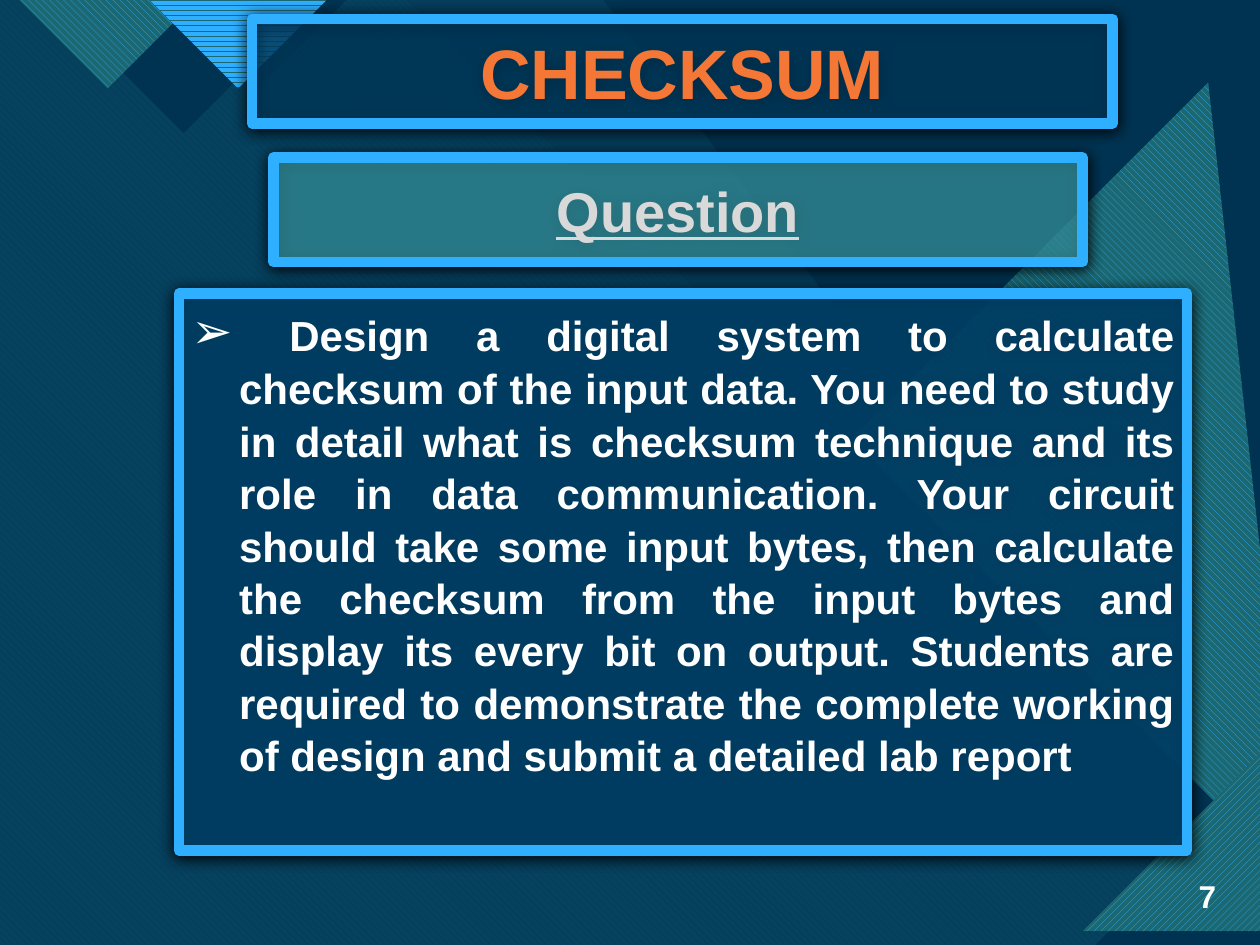
"""Build the checksum question slide with its layered triangle background."""
from math import cos, radians, sin

from lxml.etree import SubElement
from pptx import Presentation
from pptx.dml.color import RGBColor
from pptx.enum.dml import MSO_PATTERN as Pattern
from pptx.enum.shapes import MSO_SHAPE as Shape
from pptx.enum.text import MSO_ANCHOR as Anchor, PP_ALIGN as Align
from pptx.oxml.ns import qn
from pptx.util import Inches, Pt

COLORS = {
    "base": "0C4360", "navy": "003352", "aqua": "47C3D3", "teal": "1B6872",
    "sky": "2FAFFF", "blue": "0065A4", "panel": "004C7B", "orange": "F47735",
    "gray": "D9D9D9", "white": "FFFFFF", "black": "000000",
}
DOWN, UP, HORIZONTAL = Pattern.WIDE_DOWNWARD_DIAGONAL, Pattern.WIDE_UPWARD_DIAGONAL, Pattern.DARK_HORIZONTAL


def paint(shape, color, opacity=100, pattern=None, back=None):
    shape.shadow.inherit = False
    if pattern:
        shape.fill.patterned()
        shape.fill.pattern = pattern
        shape.fill.fore_color.rgb = RGBColor.from_string(COLORS[color])
        shape.fill.back_color.rgb = RGBColor.from_string(COLORS[back])
    else:
        shape.fill.solid()
        shape.fill.fore_color.rgb = RGBColor.from_string(COLORS[color])
        if opacity < 100:
            rgb = shape.fill._xPr.find(".//" + qn("a:srgbClr"))
            SubElement(rgb, qn("a:alpha"), val=str(opacity * 1000))
    shape.line.fill.background()


def add_polygon(points, angle, *style):
    c, s = cos(radians(angle)), sin(radians(angle))
    flat = [(x * c + y * s, y * c - x * s) for x, y in points]
    xs, ys = zip(*flat)
    middle_x, middle_y = (min(xs) + max(xs)) / 2, (min(ys) + max(ys)) / 2
    center_x, center_y = middle_x * c - middle_y * s, middle_x * s + middle_y * c
    builder = slide.shapes.build_freeform(*flat[0], scale=Inches(1))
    builder.add_line_segments(flat[1:], close=True)
    shape = builder.convert_to_shape()
    shape.left = Inches(center_x) - shape.width // 2
    shape.top = Inches(center_y) - shape.height // 2
    shape.rotation = angle
    paint(shape, *style)


presentation = Presentation()
presentation.slide_width, presentation.slide_height = Inches(10), Inches(7.5)
slide = presentation.slides.add_slide(presentation.slide_layouts[6])

backdrop = slide.shapes.add_shape(Shape.RECTANGLE, 0, 0, Inches(10), Inches(7.5))
paint(backdrop, "base")
add_polygon([(0, 0), (6.2, 0), (8.42, 2.97), (9.26, 2.97), (10, 3.96), (10, 7.5), (0, 7.5)],
            0, "aqua", 74)
add_polygon([(0, 0), (3.36, 0), (5.6, 2.97), (6.54, 2.97), (9.94, 7.5), (0, 7.5)],
            270, "blue", 100, DOWN, "aqua")
corner = slide.shapes.add_shape(Shape.RIGHT_TRIANGLE, Inches(4.79), 0, Inches(5.21), Inches(6.92))
corner.rotation = 180
paint(corner, "navy")
add_polygon([(0, 0), (5.21, 0), (7.44, 2.97), (8.39, 2.97), (10, 5.13), (10, 7.5), (0, 7.5)],
            270, "navy", 90)

triangles = [
    ([(9.57, 1.19), (10.42, 7.16), (9.21, 6.98), (6.5, 4.27)], 45, None),
    ([(9.54, 0.49), (10.48, 7.05), (10.17, 7.01), (6.6, 3.44)], 135, DOWN),
    ([(9.91, 6.31), (10.08, 7.5), (8.89, 7.33)], 45, None),
    ([(9.88, 5.89), (10.11, 7.5), (8.51, 7.27)], 135, UP),
    ([(2.14, 0.14), (1.25, 1.03), (0.07, -0.15)], 315, None),
    ([(-0.17, -0.15), (1, 1.02), (1.88, 0.14)], 45, DOWN),
    ([(2.59, 0.07), (2.12, 0.55), (1.49, -0.08)], 315, None),
    ([(1.35, -0.08), (1.97, 0.53), (2.43, 0.07)], 45, HORIZONTAL),
]
for points, angle, pattern in triangles:
    add_polygon(points, angle, "sky" if pattern else "navy", 100, pattern, "teal")

question = (
    "Design a digital system to calculate checksum of the input data. "
    "You need to study in detail what is checksum technique and its role in data communication. "
    "Your circuit should take some input bytes, then calculate the checksum from the input bytes "
    "and display its every bit on output. Students are required to demonstrate the complete "
    "working of design and submit a detailed lab report"
)
panels = [
    ((2.17, 1.25, 6.42, 0.83), "aqua", 55, Anchor.MIDDLE, Align.CENTER, [("Question", 32, "gray")]),
    ((2, 0.15, 6.83, 0.83), "panel", 55, Anchor.MIDDLE, Align.CENTER, [("CHECKSUM", 40, "orange")]),
    ((1.42, 2.33, 8, 4.42), "panel", 75, Anchor.TOP, Align.JUSTIFY,
     [(" \t", 28, "white"), (question, 24, "white")]),
    ((9.23, 6.91, 0.52, 0.4), None, 100, Anchor.MIDDLE, Align.RIGHT, [("7", 18, "white")]),
]
for box, color, opacity, anchor, alignment, texts in panels:
    bounds = [Inches(length) for length in box]
    if color:
        shape = slide.shapes.add_shape(Shape.RECTANGLE, *bounds)
        paint(shape, color, opacity)
        shape.line.color.rgb = RGBColor.from_string(COLORS["sky"])
        shape.line.width = Pt(6)
        SubElement(shape.line._get_or_add_ln(), qn("a:round"))
        effects = shape._element.spPr.find(qn("a:effectLst"))
        shadow = SubElement(effects, qn("a:outerShdw"), blurRad=str(Pt(8.5)), dist=str(Pt(1)),
                            dir="5400000", algn="t", rotWithShape="0")
        SubElement(shadow, qn("a:srgbClr"), val=COLORS["black"])
    else:
        shape = slide.shapes.add_textbox(*bounds)
    frame = shape.text_frame
    frame.word_wrap = True
    frame.vertical_anchor = anchor
    paragraph = frame.paragraphs[0]
    paragraph.alignment = alignment
    for text, size, ink in texts:
        run = paragraph.add_run()
        run.text = text
        run.font.name = "Arial"
        run.font.size = Pt(size)
        run.font.bold = True
        run.font.underline = True if text == "Question" else None
        run.font.color.rgb = RGBColor.from_string(COLORS[ink])
    if alignment == Align.JUSTIFY:
        paragraph.line_spacing = 1.04
        properties = paragraph._p.get_or_add_pPr()
        properties.set("marL", str(Inches(0.38)))
        properties.set("indent", str(Inches(-0.38)))
        SubElement(properties, qn("a:buFont"), typeface="Arial")
        SubElement(properties, qn("a:buChar"), char="➢")

presentation.save("out.pptx")
